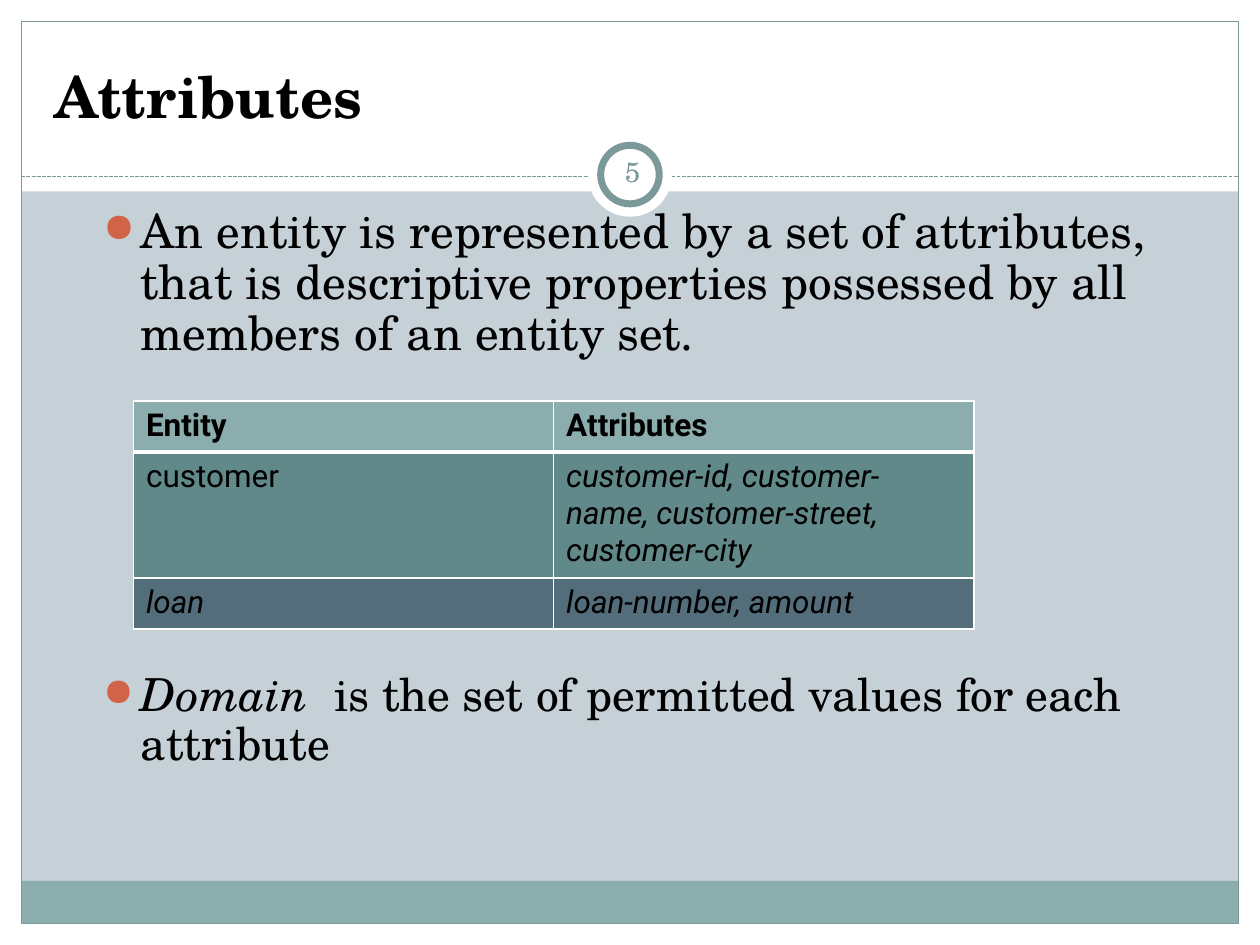
from typing import NamedTuple, Optional

from lxml.etree import SubElement
from pptx import Presentation
from pptx.dml.color import RGBColor
from pptx.enum.dml import MSO_LINE
from pptx.enum.shapes import MSO_CONNECTOR, MSO_SHAPE
from pptx.enum.text import MSO_ANCHOR as Anchor, PP_ALIGN as Align
from pptx.oxml.ns import qn
from pptx.util import Cm, Pt

COLORS = {
    "background": "C5D1D7",
    "white": "FFFFFF",
    "band": "8CADAE",
    "frame": "7C999A",
    "text": "000000",
    "bullet": "D16349",
    "customer": "61898A",
    "loan": "546D7A",
}
SERIF, SANS = "TeX Gyre Schola", "Roboto"
WIDTH, HEIGHT, MARGIN = 25.4, 19.05, 0.43


class Panel(NamedTuple):
    left: float
    top: float
    width: float
    height: float
    fill: Optional[str] = "white"
    line: Optional[str] = None
    weight: float = 0.75
    kind: MSO_SHAPE = MSO_SHAPE.RECTANGLE


class Row(NamedTuple):
    entity: str
    attributes: str
    height: float
    fill: str
    bold: bool = False
    italics: tuple = (False, False)


PANELS = [
    # White margins and header
    Panel(0, HEIGHT - MARGIN, WIDTH, MARGIN),
    Panel(0, 0, WIDTH, 3.86),
    Panel(0, 0, MARGIN, HEIGHT),
    Panel(WIDTH - MARGIN, 0, MARGIN, HEIGHT),
    # Footer band and frame
    Panel(MARGIN, 17.76, WIDTH - 2 * MARGIN, 0.86, "band"),
    Panel(MARGIN, MARGIN, WIDTH - 2 * MARGIN, HEIGHT - 2 * MARGIN, None, "frame"),
]
BADGE = [
    Panel(11.85, 2.67, 1.7, 1.7, kind=MSO_SHAPE.OVAL),
    Panel(12.11, 2.93, 1.18, 1.18, "white", "frame", 4, MSO_SHAPE.OVAL),
]
ROWS = [
    Row("Entity", "Attributes", 1.03, "band", bold=True),
    Row("customer", "customer-id, customer-name, customer-street, customer-city",
        2.52, "customer", italics=(False, True)),
    Row("loan", "loan-number, amount", 1.03, "loan", italics=(True, True)),
]


def rgb(name: str) -> RGBColor:
    return RGBColor.from_string(COLORS[name])


def style(run, size: float, font: str = SERIF, color: str = "text",
          bold: bool = False, italic: bool = False) -> None:
    run.font.size, run.font.name = Pt(size), font
    run.font.bold, run.font.italic = bold, italic
    run.font.color.rgb = rgb(color)


def draw_panel(slide, panel: Panel) -> None:
    shape = slide.shapes.add_shape(panel.kind, *map(Cm, panel[:4]))
    shape.shadow.inherit = False
    if panel.fill:
        shape.fill.solid()
        shape.fill.fore_color.rgb = rgb(panel.fill)
    else:
        shape.fill.background()
    if panel.line:
        shape.line.color.rgb = rgb(panel.line)
        shape.line.width = Pt(panel.weight)
    else:
        shape.line.fill.background()


def draw_divider(slide) -> None:
    divider = slide.shapes.add_connector(
        MSO_CONNECTOR.STRAIGHT, Cm(MARGIN), Cm(3.56), Cm(WIDTH - MARGIN), Cm(3.56))
    divider.line.color.rgb = rgb("frame")
    divider.line.width = Pt(0.75)
    divider.line.dash_style = MSO_LINE.SQUARE_DOT
    SubElement(divider.element.spPr, qn("a:effectLst"))


def add_text(slide, left: float, top: float, width: float, height: float,
             anchor: Anchor = Anchor.TOP):
    frame = slide.shapes.add_textbox(Cm(left), Cm(top), Cm(width), Cm(height)).text_frame
    frame.word_wrap = True
    frame.vertical_anchor = anchor
    return frame


def make_bullet(paragraph, space_before: float) -> None:
    paragraph.line_spacing = 0.9
    paragraph.space_before = Pt(space_before)
    props = paragraph._p.get_or_add_pPr()
    props.set("marL", str(Cm(0.76)))
    props.set("indent", str(Cm(-0.76)))
    color = SubElement(props, qn("a:buClr"))
    SubElement(color, qn("a:srgbClr"), val=COLORS["bullet"])
    SubElement(props, qn("a:buSzPct"), val="85000")
    SubElement(props, qn("a:buChar"), char="●")


def set_borders(cell, bottom: float, top: float) -> None:
    props = cell._tc.get_or_add_tcPr()
    weights = {"a:lnL": 1, "a:lnR": 1, "a:lnT": top, "a:lnB": bottom}
    for index, (side, weight) in enumerate(weights.items()):
        line = props.makeelement(qn(side), {"w": str(Pt(weight))})
        fill = SubElement(line, qn("a:solidFill"))
        SubElement(fill, qn("a:srgbClr"), val=COLORS["white"])
        props.insert(index, line)


def draw_table(slide) -> None:
    table = slide.shapes.add_table(
        len(ROWS), 2, Cm(2.69), Cm(8.08), Cm(16.94),
        Cm(sum(row.height for row in ROWS))).table
    table.horz_banding = False
    for r, row in enumerate(ROWS):
        table.rows[r].height = Cm(row.height)
        for c, words in enumerate((row.entity, row.attributes)):
            cell = table.cell(r, c)
            cell.fill.solid()
            cell.fill.fore_color.rgb = rgb(row.fill)
            set_borders(cell, bottom=3 if r == 0 else 1, top=3 if r == 1 else 1)
            cell.text_frame.text = words
            style(cell.text_frame.paragraphs[0].runs[0], 18, SANS,
                  bold=row.bold, italic=row.italics[c])


def main() -> None:
    deck = Presentation()
    deck.slide_width, deck.slide_height = Cm(WIDTH), Cm(HEIGHT)
    slide = deck.slides.add_slide(deck.slide_layouts[6])
    slide.background.fill.solid()
    slide.background.fill.fore_color.rgb = rgb("background")

    # Backdrop and number badge
    for panel in PANELS:
        draw_panel(slide, panel)
    draw_divider(slide)
    for panel in BADGE:
        draw_panel(slide, panel)

    # Title
    title = add_text(slide, 0.84, 0.64, 23.7, 2.11, Anchor.BOTTOM)
    title.text = "Attributes"
    style(title.paragraphs[0].runs[0], 33, bold=True)

    # Bullets, with room for the table between them
    body = add_text(slide, 1.83, 4.06, 22.12, 14.99)
    body.text = ("An entity is represented by a set of attributes, that is descriptive "
                 "properties possessed by all members of an entity set.")
    definition = body.paragraphs[0]
    make_bullet(definition, 5.4)
    style(definition.runs[0], 27)
    domain = body.add_paragraph()
    make_bullet(domain, 178)
    for words, italic in (("Domain", True),
                          ("  is the set of permitted values for each attribute", False)):
        run = domain.add_run()
        run.text = words
        style(run, 26, italic=italic)

    # Slide number
    number = add_text(slide, 12.12, 2.84, 1.27, 1.22, Anchor.MIDDLE)
    number.margin_left = number.margin_right = Cm(0.13)
    number.text = "5"
    number.paragraphs[0].alignment = Align.CENTER
    style(number.paragraphs[0].runs[0], 16, color="frame")

    draw_table(slide)
    deck.save("out.pptx")


if __name__ == "__main__":
    main()
